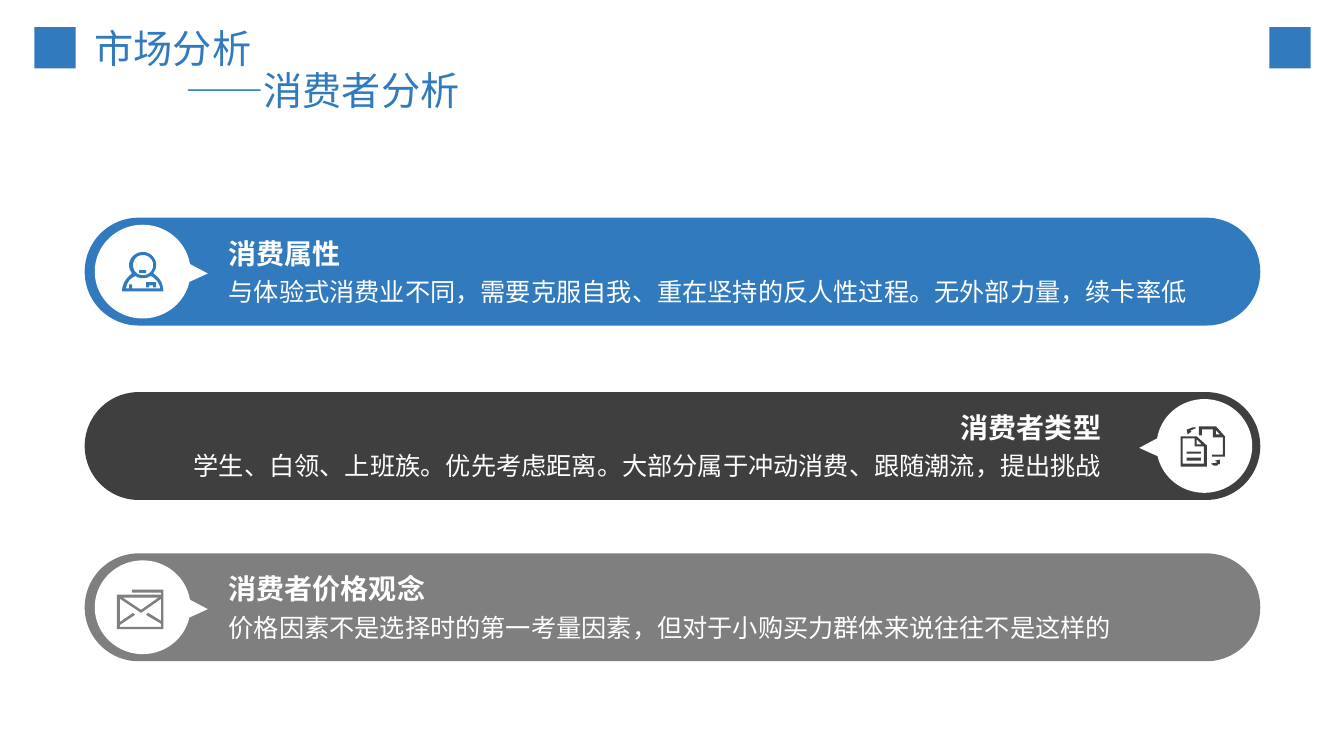
import pptx
import pptx.dml.color
import pptx.enum.shapes
import pptx.enum.text
import pptx.oxml
import pptx.oxml.ns
import pptx.util
from pptx.util import Inches

FONT = "Noto Sans CJK SC"
BLUE, DARK, GRAY, WHITE = "317ABD", "3F3F3F", "7F7F7F", "FFFFFF"
LEFT = pptx.enum.text.PP_ALIGN.LEFT
RIGHT = pptx.enum.text.PP_ALIGN.RIGHT
SHAPES = pptx.enum.shapes.MSO_SHAPE

# Icon contours in hundredths of an inch: two numbers are a corner,
# six are a cubic curve (two control points and the end point).
PERSON = [
    [(24, 30), (34, 30), (34, 35), (31, 35), (31, 33), (27, 33), (27, 35), (24, 35)],
    [(17, 18), (24, 18), (24, 21), (17, 21)],
    [(21, 3), (15, 3, 11, 7, 11, 13), (11, 19, 15, 23, 21, 23),
     (26, 23, 31, 19, 31, 13), (31, 7, 26, 3, 21, 3)],
    [(21, 0), (28, 0, 34, 6, 34, 13), (34, 16, 33, 18, 31, 21), (32, 22),
     (38, 26, 41, 32, 41, 39), (0, 39), (0, 32, 4, 26, 9, 22), (10, 21), (13, 24),
     (8, 26, 5, 30, 4, 36), (7, 36), (7, 32), (10, 32), (10, 36), (38, 36),
     (37, 30, 33, 26, 29, 24), (28, 24), (26, 25, 24, 26, 21, 26),
     (13, 26, 7, 20, 7, 13), (7, 6, 13, 0, 21, 0)],
]
DOCUMENTS = [
    [(39, 33), (39, 38), (38, 37), (36, 39), (33, 39), (30, 37), (36, 36), (36, 35), (34, 34)],
    [(6, 31), (20, 31), (20, 34), (6, 34)],
    [(6, 25), (20, 25), (20, 27), (6, 27)],
    [(16, 13), (16, 18), (21, 18)],
    [(14, 12), (2, 12), (2, 37), (23, 37), (23, 20), (14, 20)],
    [(0, 10), (16, 10), (26, 19), (26, 40), (0, 40)],
    [(35, 4), (35, 8), (39, 8)],
    [(12, 1), (15, 1), (15, 2), (10, 4), (10, 5), (11, 5), (7, 8), (6, 3), (7, 3)],
    [(35, 0), (44, 10), (44, 30), (31, 30), (31, 28), (42, 28), (42, 11),
     (32, 11), (32, 3), (21, 3), (21, 9), (18, 9), (18, 0)],
]
ENVELOPE = [
    [(3, 9), (3, 32), (16, 23), (18, 25), (3, 35), (3, 37), (44, 37), (44, 34),
     (29, 25), (31, 23), (44, 31), (44, 9), (24, 23)],
    [(6, 8), (24, 20), (41, 8)],
    [(15, 0), (46, 0), (46, 39), (0, 39), (0, 5), (44, 5), (44, 3), (15, 3)],
]


def color(value):
    return pptx.dml.color.RGBColor.from_string(value)


def paint(shape, fill):
    shape.shadow.inherit = False
    shape.fill.solid()
    shape.fill.fore_color.rgb = color(fill)
    shape.line.fill.background()


def add_block(slide, kind, left, top, width, height, fill, adjustments=()):
    shape = slide.shapes.add_shape(
        kind, Inches(left), Inches(top), Inches(width), Inches(height))
    for index, value in enumerate(adjustments):
        shape.adjustments[index] = value
    paint(shape, fill)


def flatten(contour, steps=8):
    """Turn corners and cubic curves into a list of points."""
    points = [contour[0]]
    for item in contour[1:]:
        if len(item) == 2:
            points.append(item)
            continue
        nodes = [points[-1], item[0:2], item[2:4], item[4:6]]
        for step in range(1, steps + 1):
            t = step / steps
            weights = ((1 - t) ** 3, 3 * t * (1 - t) ** 2, 3 * t * t * (1 - t), t ** 3)
            points.append(tuple(
                sum(weight * node[axis] for weight, node in zip(weights, nodes))
                for axis in (0, 1)))
    return [(x * 10, y * 10) for x, y in points]


def add_icon(slide, contours, left, top, fill):
    outlines = [flatten(contour) for contour in contours]
    builder = slide.shapes.build_freeform(*outlines[0][0], scale=Inches(1) / 1000)
    for index, outline in enumerate(outlines):
        if index:
            builder.move_to(*outline[0])
        builder.add_line_segments(outline[1:], close=True)
    paint(builder.convert_to_shape(Inches(left), Inches(top)), fill)


def add_text(slide, left, top, width, height, lines, size, spacing, fill,
             align=LEFT, bold=False):
    """Add a text box; lines are pairs of text and left indent."""
    box = slide.shapes.add_textbox(
        Inches(left), Inches(top), Inches(width), Inches(height))
    frame = box.text_frame
    frame.word_wrap = True
    for index, (text, indent) in enumerate(lines):
        paragraph = frame.add_paragraph() if index else frame.paragraphs[0]
        paragraph.alignment = align
        paragraph.line_spacing = pptx.util.Pt(spacing)
        if indent:
            paragraph._p.get_or_add_pPr().set("marL", str(Inches(indent)))
        run = paragraph.add_run()
        run.text = text
        run.font.size = pptx.util.Pt(size)
        run.font.bold = bold
        run.font.color.rgb = color(fill)
        run.font.name = FONT
        east_asian = pptx.oxml.parse_xml(
            f'<a:ea {pptx.oxml.ns.nsdecls("a")} typeface="{FONT}"/>')
        run._r.get_or_add_rPr().append(east_asian)


def add_banner(slide, top, fill, heading, body, icon, icon_left, icon_top, mirrored=False):
    add_block(slide, SHAPES.ROUNDED_RECTANGLE, 0.84, top, 11.66, 1.07, fill, [0.5])
    # The pointer of the bubble faces the text
    bubble_left, pointer = (11.47, -0.68) if mirrored else (0.94, 0.68)
    add_block(slide, SHAPES.OVAL_CALLOUT, bubble_left, top + 0.07, 0.95, 0.93,
              WHITE, [pointer, 0.02])
    add_icon(slide, icon, icon_left, icon_top, fill)
    text_left, width, align = (1.31, 9.71, RIGHT) if mirrored else (2.17, 9.71, LEFT)
    add_text(slide, text_left, top + 0.12, width, 0.44, [(heading, 0)], 20, 25,
             WHITE, align, bold=True)
    add_text(slide, text_left, top + 0.52, width, 0.4, [(body, 0)], 18, 22.5, WHITE, align)


def main():
    presentation = pptx.Presentation()
    presentation.slide_width = Inches(13.33)
    presentation.slide_height = Inches(7.5)
    slide = presentation.slides.add_slide(presentation.slide_layouts[6])

    # Header squares and title
    for left in (0.34, 12.59):
        add_block(slide, SHAPES.RECTANGLE, left, 0.27, 0.41, 0.41, BLUE)
    add_text(slide, 0.84, 0.24, 4.2, 0.93,
             [("市场分析", 0), ("——消费者分析", 0.9)], 28, 30, BLUE)

    # Consumer banners
    add_banner(slide, 2.16, BLUE, "消费属性",
               "与体验式消费业不同，需要克服自我、重在坚持的反人性过程。无外部力量，续卡率低",
               PERSON, 1.21, 2.5)
    add_banner(slide, 3.89, DARK, "消费者类型",
               "学生、白领、上班族。优先考虑距离。大部分属于冲动消费、跟随潮流，提出挑战",
               DOCUMENTS, 11.71, 4.23, mirrored=True)
    add_banner(slide, 5.49, GRAY, "消费者价格观念",
               "价格因素不是选择时的第一考量因素，但对于小购买力群体来说往往不是这样的",
               ENVELOPE, 1.16, 5.85)

    presentation.save("out.pptx")


if __name__ == "__main__":
    main()
